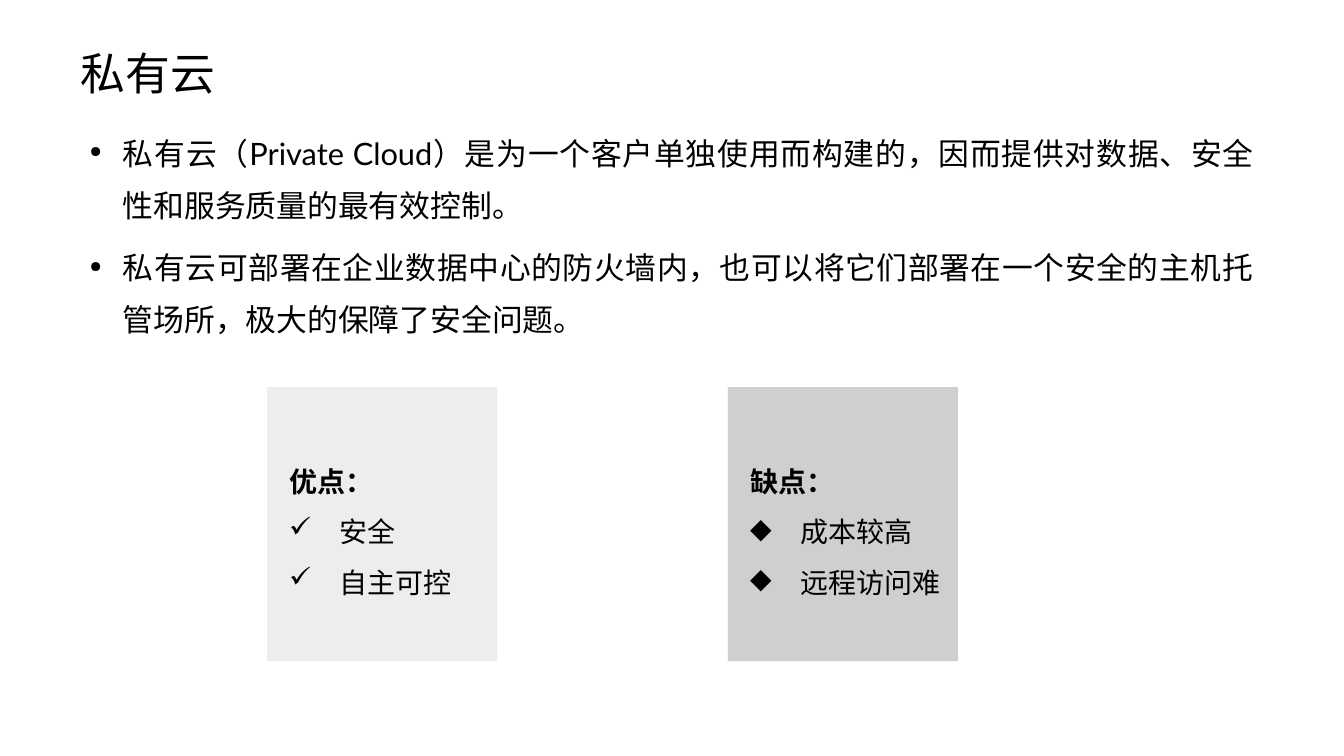
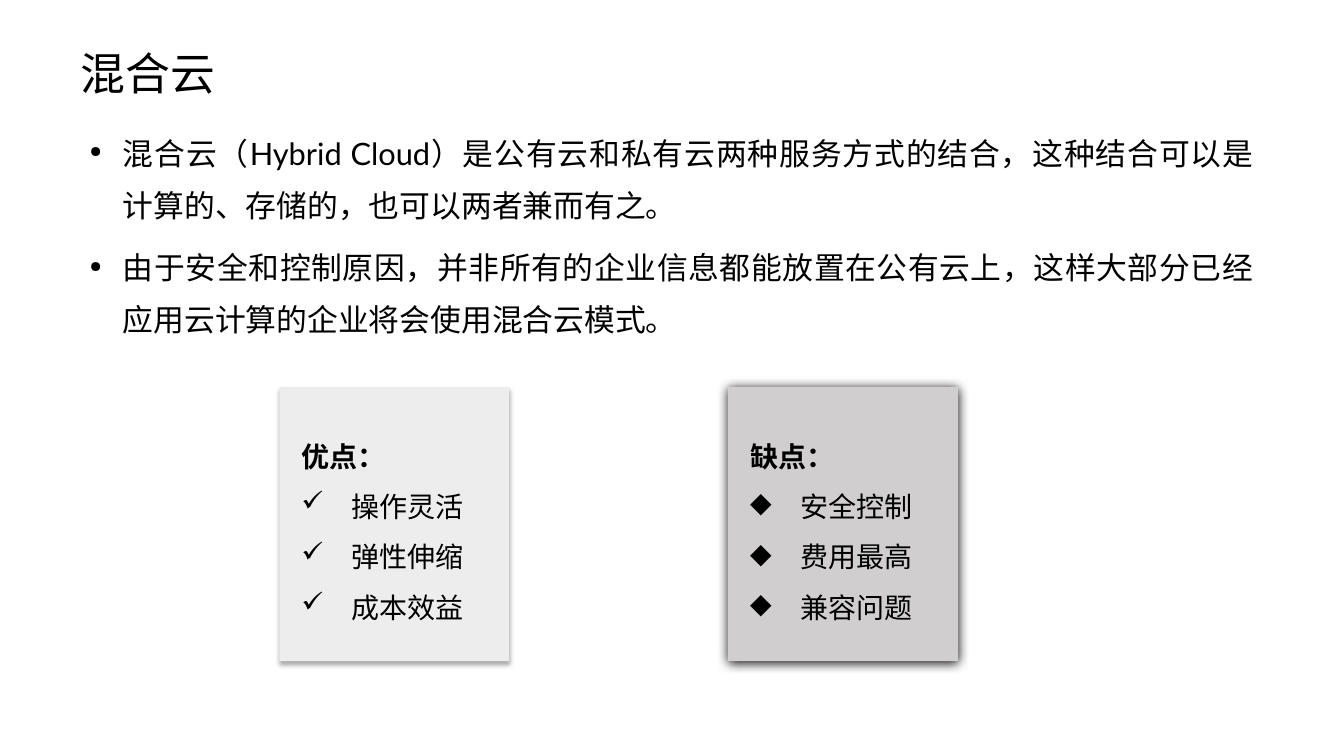
from lxml.etree import SubElement
from pptx import Presentation
from pptx.dml.color import RGBColor
from pptx.enum.shapes import MSO_SHAPE
from pptx.enum.text import MSO_ANCHOR, PP_ALIGN
from pptx.oxml.ns import qn
from pptx.util import Inches, Pt

COLORS = {"text": "000000", "pros": "EDEDED", "cons": "D0CECE", "shadow": "000000"}
FONT = "Lato"

# Shared regions: left, top, width, height in inches
TITLE_BOX = (0.8, 0.49, 11.73, 0.53)
BODY_BOX = (0.8, 1.15, 11.73, 5.34)
CARD_TOP, CARD_WIDTH, CARD_HEIGHT = 3.84, 2.28, 2.72
CONS_LEFT = 7.22
ROW_HEIGHT, TEXT_OFFSET, TEXT_PADDING = 0.5, 0.12, 0.12

# Shadows: opacity in percent, blur and distance in points
SOFT_SHADOW = (32, 3.5, 2.2)
STRONG_SHADOW = (100, 8.5, 1)

SLIDES = [
    {
        "title": "私有云",
        "points": [
            "私有云（Private Cloud）是为一个客户单独使用而构建的，因而提供对数据、安全性和服务质量的最有效控制。",
            "私有云可部署在企业数据中心的防火墙内，也可以将它们部署在一个安全的主机托管场所，极大的保障了安全问题。",
        ],
        "pros": ["安全", "自主可控"],
        "cons": ["成本较高", "远程访问难"],
        "pros_left": 2.65,
        "shadows": (None, None),
    },
    {
        "title": "混合云",
        "points": [
            "混合云（Hybrid Cloud）是公有云和私有云两种服务方式的结合，这种结合可以是计算的、存储的，也可以两者兼而有之。",
            "由于安全和控制原因，并非所有的企业信息都能放置在公有云上，这样大部分已经应用云计算的企业将会使用混合云模式。",
        ],
        "pros": ["操作灵活", "弹性伸缩", "成本效益"],
        "cons": ["安全控制", "费用最高", "兼容问题"],
        "pros_left": 2.77,
        "shadows": (SOFT_SHADOW, STRONG_SHADOW),
    },
]


def color(name):
    return RGBColor.from_string(COLORS[name])


def set_bullet(paragraph, char, indent, percent):
    properties = paragraph._p.get_or_add_pPr()
    properties.set("marL", str(Inches(indent)))
    properties.set("indent", str(-Inches(indent)))
    SubElement(properties, qn("a:buSzPct"), val=str(percent * 1000))
    SubElement(properties, qn("a:buChar"), char=char)


def add_text(slide, box, lines, size, spacing=1.0, heading=False, bullet=None,
             indent=0.5, bullet_percent=100, space_before=0,
             align=PP_ALIGN.LEFT, anchor=MSO_ANCHOR.TOP, insets=(0.1, 0.05)):
    """Write one paragraph per line; a heading is a bold first line without bullet."""
    frame = slide.shapes.add_textbox(*map(Inches, box)).text_frame
    frame.word_wrap = True
    frame.vertical_anchor = anchor
    frame.margin_left = frame.margin_right = Inches(insets[0])
    frame.margin_top = frame.margin_bottom = Inches(insets[1])
    for index, line in enumerate(lines):
        is_heading = heading and index == 0
        paragraph = frame.paragraphs[0] if index == 0 else frame.add_paragraph()
        paragraph.alignment = align
        paragraph.line_spacing = spacing
        if index and space_before:
            paragraph.space_before = Pt(space_before)
        if bullet and not is_heading:
            set_bullet(paragraph, bullet, indent, bullet_percent)
        run = paragraph.add_run()
        run.text = line
        run.font.name = FONT
        run.font.size = Pt(size)
        run.font.bold = is_heading
        run.font.color.rgb = color("text")


def add_shadow(shape, opacity, blur, distance):
    effects = shape._element.spPr.find(qn("a:effectLst"))
    outer = SubElement(effects, qn("a:outerShdw"), blurRad=str(Pt(blur)),
                       dist=str(Pt(distance)), dir=str(90 * 60000),
                       algn="ctr", rotWithShape="0")
    tint = SubElement(outer, qn("a:srgbClr"), val=COLORS["shadow"])
    SubElement(tint, qn("a:alpha"), val=str(opacity * 1000))


def add_card(slide, left, fill, heading, items, bullet, shadow):
    # Panel
    panel = slide.shapes.add_shape(
        MSO_SHAPE.RECTANGLE,
        *map(Inches, (left, CARD_TOP, CARD_WIDTH, CARD_HEIGHT)))
    panel.fill.solid()
    panel.fill.fore_color.rgb = color(fill)
    panel.line.fill.background()
    panel.shadow.inherit = False
    if shadow:
        add_shadow(panel, *shadow)
    # List, centred vertically on the panel
    height = ROW_HEIGHT * (len(items) + 1) + TEXT_PADDING
    top = CARD_TOP + (CARD_HEIGHT - height) / 2
    add_text(slide, (left + TEXT_OFFSET, top, CARD_WIDTH, height),
             [heading, *items], 20, spacing=1.5, heading=True, bullet=bullet)


def add_cloud_slide(deck, content):
    slide = deck.slides.add_slide(deck.slide_layouts[6])
    # Title
    add_text(slide, TITLE_BOX, [content["title"]], 32, spacing=0.9,
             anchor=MSO_ANCHOR.MIDDLE, insets=(0, 0))
    # Description
    add_text(slide, BODY_BOX, content["points"], 22, spacing=1.4, bullet="●",
             indent=0.33, bullet_percent=50, space_before=7.9,
             align=PP_ALIGN.JUSTIFY, insets=(0.09, 0.04))
    # Advantages and drawbacks
    pros_shadow, cons_shadow = content["shadows"]
    add_card(slide, content["pros_left"], "pros", "优点：", content["pros"], "✓", pros_shadow)
    add_card(slide, CONS_LEFT, "cons", "缺点：", content["cons"], "◆", cons_shadow)


def main():
    deck = Presentation()
    deck.slide_width, deck.slide_height = Inches(13.33), Inches(7.5)
    for content in SLIDES:
        add_cloud_slide(deck, content)
    deck.save("out.pptx")


if __name__ == "__main__":
    main()
